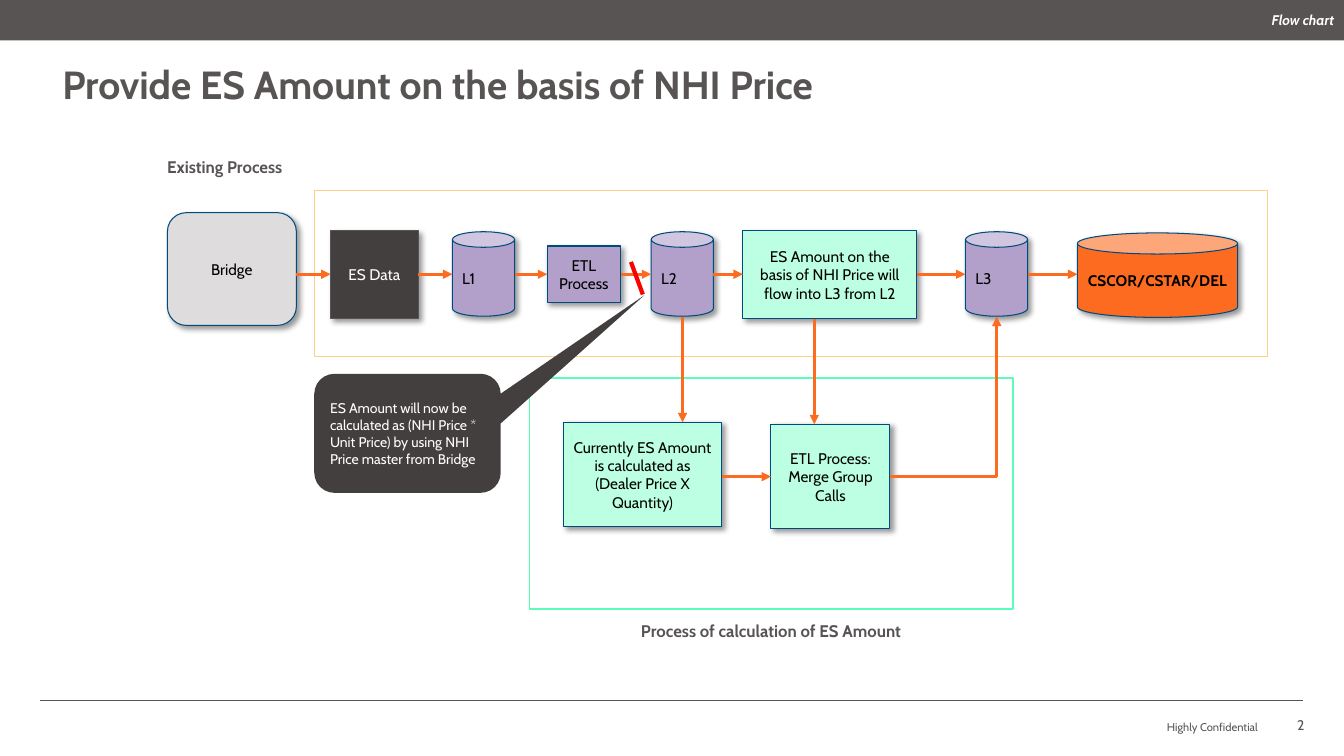
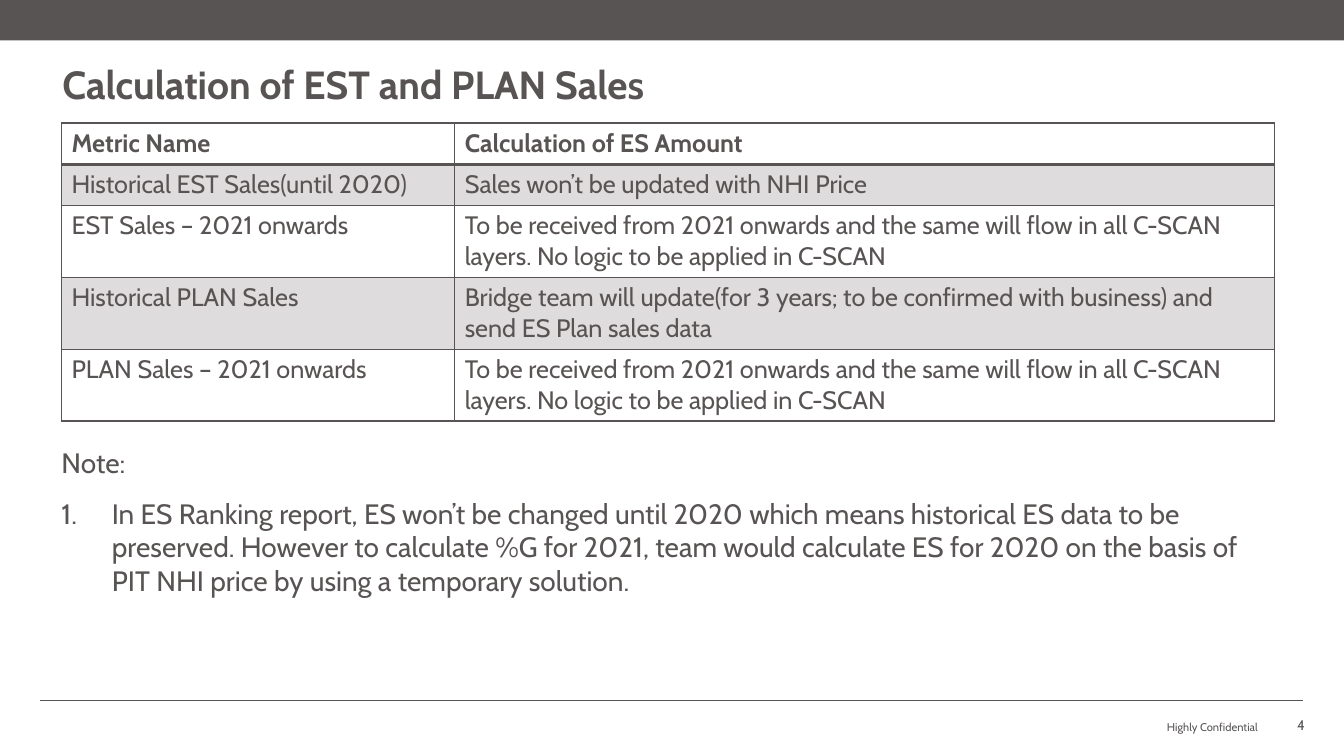
from dataclasses import dataclass
from pptx import Presentation
from pptx.dml.color import RGBColor
from pptx.enum.shapes import MSO_CONNECTOR as LINK, MSO_SHAPE as SHAPE
from pptx.enum.text import MSO_ANCHOR as ANCHOR, PP_ALIGN as ALIGN
from pptx.oxml import parse_xml
from pptx.oxml.ns import nsdecls, qn
from pptx.util import Cm, Pt


@dataclass(frozen=True)
class Theme:
    font: str = "Cabin"
    gray: str = "595454"
    dark: str = "433F3F"
    pale: str = "DEDCDC"
    white: str = "FFFFFF"
    black: str = "000000"
    navy: str = "004B7E"
    lilac: str = "B2A0CA"
    mint: str = "BDFFE3"
    green: str = "59FFB9"
    gold: str = "FFD186"
    orange: str = "FC6B20"
    red: str = "FF0000"
    title: int = 28
    note: int = 20
    cell: int = 18
    label: int = 12
    node: int = 11
    small: int = 10
    foot: int = 8


theme = Theme()
rgb = RGBColor.from_string


def write(frame, text, size=theme.node, color=theme.gray, bold=False,
          italic=False, align=ALIGN.LEFT, anchor=None, inset=None,
          before=0, space=None):
    frame.word_wrap = True
    if anchor is not None:
        frame.vertical_anchor = anchor
    if inset is not None:
        frame.margin_left = frame.margin_right = Cm(inset)
        frame.margin_top = frame.margin_bottom = Cm(inset)
    for i, part in enumerate(text.split("\n")):
        para = frame.add_paragraph() if i else frame.paragraphs[0]
        para.alignment = align
        para.space_before = Pt(before)
        if space:
            para.line_spacing = space
        run = para.add_run()
        run.text = part
        font = run.font
        font.name, font.size = theme.font, Pt(size)
        font.bold, font.italic = bold, italic
        font.color.rgb = rgb(color)


def link(slide, start, end, color=theme.orange, width=2.25, head=True,
         bent=False):
    kind = LINK.ELBOW if bent else LINK.STRAIGHT
    line = slide.shapes.add_connector(kind, *map(Cm, start + end))
    line.line.color.rgb = rgb(color)
    line.line.width = Pt(width)
    props = line.element.spPr
    if bent:
        props.find(qn("a:prstGeom")).set("prst", "bentConnector2")
    if head:
        props.find(qn("a:ln")).append(
            parse_xml(f'<a:tailEnd {nsdecls("a")} type="triangle"/>'))
    props.append(parse_xml(f'<a:effectLst {nsdecls("a")}/>'))


deck = Presentation()
deck.slide_width, deck.slide_height = Cm(33.87), Cm(19.05)

# Shared title, band and footer
pages = []
for title, page in (("Provide ES Amount on the basis of NHI Price", "2"),
                    ("Calculation of EST and PLAN Sales", "4")):
    slide = deck.slides.add_slide(deck.slide_layouts[6])
    pages.append(slide)
    band = slide.shapes.add_shape(SHAPE.RECTANGLE, 0, 0, deck.slide_width, Cm(1.02))
    band.shadow.inherit = False
    band.fill.solid()
    band.fill.fore_color.rgb = rgb(theme.gray)
    band.line.fill.background()
    link(slide, (1.02, 17.65), (32.84, 17.65), theme.gray, 0.5, head=False)
    for box, text, style in (
            ((1.57, 1.65, 30.73, 1.45), title,
             dict(size=theme.title, bold=True, inset=0, space=0.9)),
            ((22.78, 17.86, 8.92, 0.64), "Highly Confidential",
             dict(size=theme.foot, align=ALIGN.RIGHT, anchor=ANCHOR.BOTTOM, inset=0)),
            ((32.44, 17.93, 0.89, 0.64), page, dict(size=theme.small))):
        write(slide.shapes.add_textbox(*map(Cm, box)).text_frame, text, **style)

flow, sales = pages

# Flow chart labels
for box, text, style in (
        ((27.4, 0, 6.47, 1.02), "Flow chart",
         dict(size=theme.small, color=theme.white, bold=True, italic=True,
              align=ALIGN.RIGHT, anchor=ANCHOR.MIDDLE)),
        ((3.96, 3.71, 3.71, 1.02), "Existing Process",
         dict(size=theme.label, bold=True, inset=0.25)),
        ((13.34, 15.39, 12.19, 1.02), "Process of calculation of ES Amount",
         dict(size=theme.label, bold=True, align=ALIGN.CENTER, inset=0.25))):
    write(flow.shapes.add_textbox(*map(Cm, box)).text_frame, text, **style)

# Frames, then the chain from left to right, then the lower steps
rect, can = SHAPE.RECTANGLE, SHAPE.CAN
frames = [
    (rect, (13.34, 9.53, 12.19, 5.82), theme.white, theme.green, ""),
    (rect, (7.92, 4.8, 24.03, 4.19), theme.white, theme.gold, ""),
]
chain = [
    (SHAPE.ROUNDED_RECTANGLE, (4.22, 5.36, 3.25, 2.84), theme.pale, theme.navy, "Bridge"),
    (rect, (8.33, 5.82, 2.21, 2.21), theme.dark, theme.gray, "ES Data"),
    (can, (11.4, 5.84, 1.57, 2.13), theme.lilac, theme.navy, "L1"),
    (rect, (13.79, 6.2, 1.85, 1.42), theme.lilac, theme.navy, "ETL Process"),
    (can, (16.41, 5.84, 1.57, 2.13), theme.lilac, theme.navy, "L2"),
    (rect, (18.72, 5.82, 4.39, 2.21), theme.mint, theme.navy,
     "ES Amount on the basis of NHI Price will flow into L3 from L2"),
    (can, (24.33, 5.84, 1.57, 2.13), theme.lilac, theme.navy, "L3"),
    (can, (27.15, 5.87, 4.04, 2.13), theme.orange, theme.navy, "CSCOR/CSTAR/DEL"),
]
steps = [
    (rect, (14.2, 10.64, 3.99, 2.64), theme.mint, theme.navy,
     "Currently ES Amount is calculated as (Dealer Price X Quantity)"),
    (rect, (19.43, 10.69, 3, 2.64), theme.mint, theme.navy,
     "ETL Process: Merge Group Calls"),
]
call = (SHAPE.ROUNDED_RECTANGULAR_CALLOUT, (7.92, 9.42, 4.7, 3), theme.dark, None,
        "ES Amount will now be calculated as (NHI Price * Unit Price) "
        "by using NHI Price master from Bridge")

for kind, box, fill, edge, text in frames + chain + steps + [call]:
    node = flow.shapes.add_shape(kind, *map(Cm, box))
    node.shadow.inherit = False
    node.fill.solid()
    node.fill.fore_color.rgb = rgb(fill)
    if edge:
        node.line.color.rgb = rgb(edge)
        node.line.width = Pt(0.75 if text else 1)
    else:
        node.line.fill.background()
        for i, value in enumerate((1.27, -1.16, 0.17)):
            node.adjustments[i] = value
    if not text:
        continue
    if edge:
        node.element.spPr.find(qn("a:effectLst")).append(parse_xml(
            f'<a:outerShdw {nsdecls("a")} blurRad="{Pt(4)}" dist="{Pt(3)}" '
            f'dir="2700000" algn="tl" rotWithShape="0"><a:srgbClr val="{theme.black}">'
            '<a:alpha val="40000"/></a:srgbClr></a:outerShdw>'))
    left = not edge or len(text) == 2
    write(node.text_frame, text, size=theme.node if edge else theme.small,
          color=theme.white if fill == theme.dark else theme.black,
          bold=fill == theme.orange, align=ALIGN.LEFT if left else ALIGN.CENTER,
          anchor=ANCHOR.MIDDLE, inset=0.25)

# Arrows along the chain and around the lower steps
axis, base = 6.91, 12.01
for near, far in zip(chain, chain[1:]):
    link(flow, (near[1][0] + near[1][2], axis), (far[1][0], axis))
link(flow, (17.2, 7.98), (17.2, 10.64))
link(flow, (20.52, 8.03), (20.52, 10.69))
link(flow, (18.19, base), (19.43, base))
link(flow, (22.43, base), (25.12, 7.98), bent=True)
link(flow, (15.9, 6.6), (16.2, 7.42), theme.red, 3, head=False)

# Sales table
later = ("To be received from 2021 onwards and the same will flow in all "
         "C-SCAN layers. No logic to be applied in C-SCAN")
rows = [
    ("Metric Name", "Calculation of ES Amount"),
    ("Historical EST Sales(until 2020)", "Sales won’t be updated with NHI Price"),
    ("EST Sales – 2021 onwards", later),
    ("Historical PLAN Sales",
     "Bridge team will update(for 3 years; to be confirmed with business) "
     "and send ES Plan sales data"),
    ("PLAN Sales – 2021 onwards", later),
]
highs = (1.04, 1.04, 1.81, 1.81, 1.81)
grid = sales.shapes.add_table(
    len(rows), 2, Cm(1.55), Cm(3.1), Cm(30.56), Cm(sum(highs))).table
for col, width in zip(grid.columns, (9.91, 20.65)):
    col.width = Cm(width)
for r, (row, high) in enumerate(zip(rows, highs)):
    grid.rows[r].height = Cm(high)
    for c, text in enumerate(row):
        cell = grid.cell(r, c)
        write(cell.text_frame, text, size=theme.cell, bold=r == 0)
        props = cell._tc.get_or_add_tcPr()
        for side in "LRTB":
            thick = (r, side) in ((0, "B"), (1, "T"))
            props.append(parse_xml(
                f'<a:ln{side} {nsdecls("a")} w="{Pt(2 if thick else 1)}"><a:solidFill>'
                f'<a:srgbClr val="{theme.gray}"/></a:solidFill></a:ln{side}>'))
        if r % 2:
            cell.fill.solid()
            cell.fill.fore_color.rgb = rgb(theme.pale)
        else:
            cell.fill.background()

# Numbered note
note = sales.shapes.add_textbox(Cm(1.55), Cm(11.23), Cm(30.53), Cm(4.47)).text_frame
write(note, "Note:\nIn ES Ranking report, ES won’t be changed until 2020 which means "
      "historical ES data to be preserved. However to calculate %G for 2021, team "
      "would calculate ES for 2020 on the basis of PIT NHI price by using a "
      "temporary solution.", size=theme.note, inset=0, before=12)
item = note.paragraphs[1]._p.get_or_add_pPr()
item.set("marL", str(Cm(1.27)))
item.set("indent", str(-Cm(1.27)))
item.append(parse_xml(f'<a:buAutoNum {nsdecls("a")} type="arabicPeriod"/>'))

deck.save("out.pptx")
